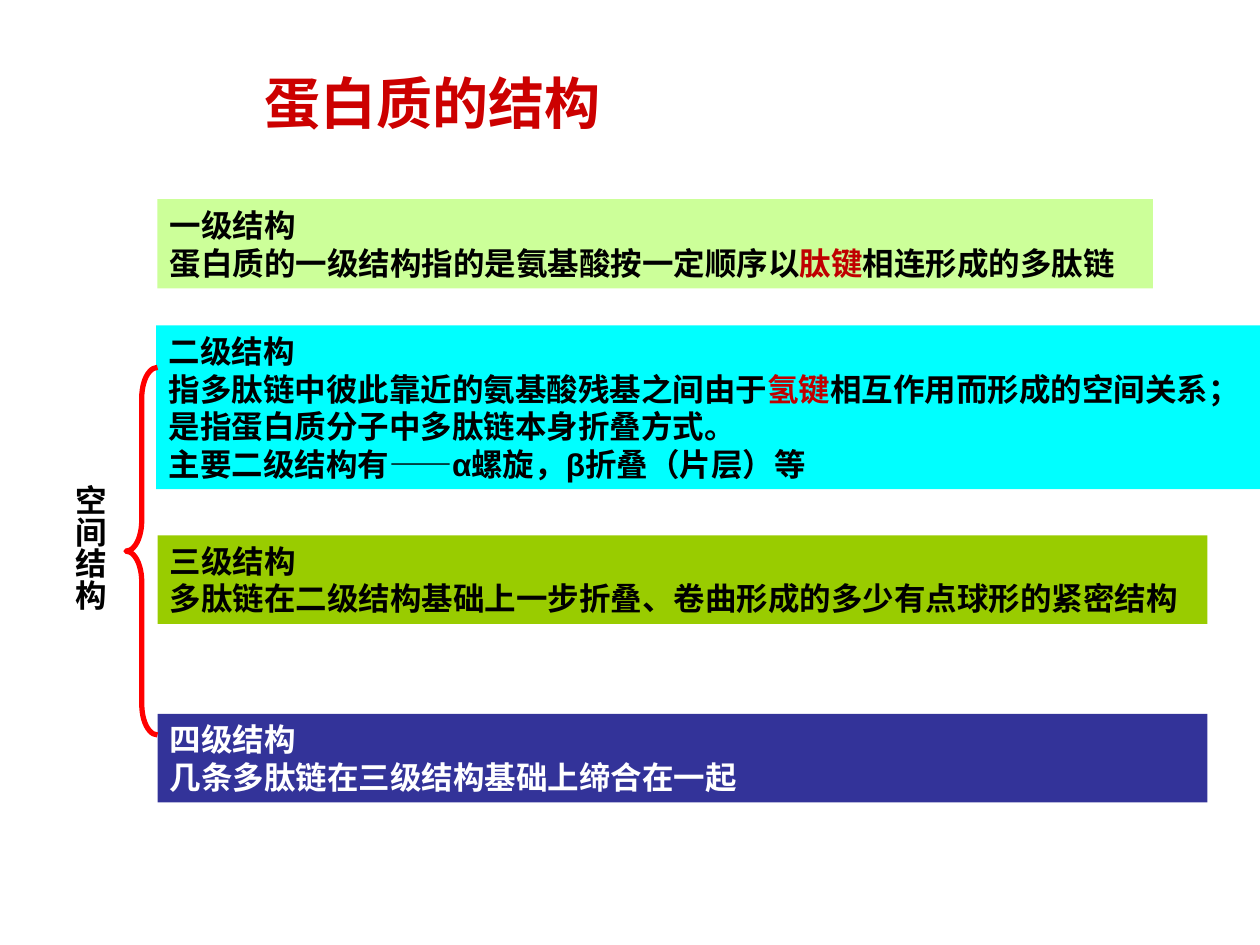
from pptx import Presentation
from pptx.dml.color import RGBColor
from pptx.enum.shapes import MSO_SHAPE
from pptx.enum.text import MSO_ANCHOR, MSO_AUTO_SIZE, PP_ALIGN
from pptx.oxml.ns import qn
from pptx.util import Pt

RECT, BRACE = MSO_SHAPE.RECTANGLE, MSO_SHAPE.LEFT_BRACE
TOP, MIDDLE = MSO_ANCHOR.TOP, MSO_ANCHOR.MIDDLE
LEFT = PP_ALIGN.LEFT
FIXED = MSO_AUTO_SIZE.NONE

BLACK = RGBColor(0, 0, 0)
WHITE = RGBColor(255, 255, 255)
RED = RGBColor(255, 0, 0)
TITLE = RGBColor(204, 0, 0)
BOND = RGBColor(192, 0, 0)
LIME = RGBColor(204, 255, 153)
CYAN = RGBColor(0, 255, 255)
GREEN = RGBColor(153, 204, 0)
NAVY = RGBColor(51, 51, 153)
LATIN, HAN = "Arial", "Noto Sans CJK SC"

# Each level: left, top, width, height, fill, text colour, font, anchor, lines
LEVELS = [
    (90, 113.8, 568.8, 51, LIME, BLACK, LATIN, MIDDLE,
     ["一级结构",
      ["蛋白质的一级结构指的是氨基酸按一定顺序以", "肽键", "相连形成的多肽链"]]),
    (89.3, 186, 630.7, 93.6, CYAN, BLACK, LATIN, MIDDLE,
     ["二级结构",
      ["指多肽链中彼此靠近的氨基酸残基之间由于", "氢键",
       "相互作用而形成的空间关系；"],
      "是指蛋白质分子中多肽链本身折叠方式。",
      "主要二级结构有——α螺旋，β折叠（片层）等"]),
    (90, 306, 600, 50.5, GREEN, BLACK, HAN, TOP,
     ["三级结构",
      "多肽链在二级结构基础上一步折叠、卷曲形成的多少有点球形的紧密结构"]),
    (90, 408, 600, 50.5, NAVY, WHITE, HAN, TOP,
     ["四级结构", "几条多肽链在三级结构基础上缔合在一起"]),
]


def write(shape, lines, size=18, color=BLACK, face=LATIN, anchor=TOP, pitch=None):
    """Fill a shape with bold lines; the second part of a split line is a bond."""
    frame = shape.text_frame
    frame.word_wrap = True
    frame.auto_size = FIXED
    frame.vertical_anchor = anchor
    for i, line in enumerate(lines):
        para = frame.add_paragraph() if i else frame.paragraphs[0]
        para.alignment = LEFT
        if pitch:
            para.line_spacing = Pt(pitch)
        for j, part in enumerate([line] if isinstance(line, str) else line):
            run = para.add_run()
            run.text = part
            font = run.font
            font.size, font.bold, font.name = Pt(size), True, face
            font.color.rgb = BOND if j == 1 else color
            east = font._element.makeelement(qn("a:ea"), {"typeface": HAN})
            font._element.find(qn("a:latin")).addnext(east)


def place(shape, *box):
    """Move and size a shape in points."""
    shape.left, shape.top, shape.width, shape.height = map(Pt, box)


def panel(slide, left, top, width, height, fill, color, face, anchor, lines):
    """Add the filled box of one structure level."""
    box = slide.shapes.add_shape(RECT, *map(Pt, (left, top, width, height)))
    box.shadow.inherit = False
    box.fill.solid()
    box.fill.fore_color.rgb = fill
    box.line.fill.background()
    write(box, lines, color=color, face=face, anchor=anchor, pitch=21.6)


def brace(slide, *box):
    """Add the red brace that groups the spatial levels."""
    mark = slide.shapes.add_shape(BRACE, *map(Pt, box))
    mark.shadow.inherit = False
    mark.fill.background()
    mark.line.color.rgb = RED
    mark.line.width = Pt(3)
    mark.adjustments[0] = 0.97
    mark.adjustments[1] = 0.5


def label(slide, text, *box):
    """Add a label that reads downwards."""
    note = slide.shapes.add_textbox(*map(Pt, box))
    write(note, [text])
    note.text_frame._txBody.bodyPr.set("vert", "eaVert")


def main():
    """Build the slide and save it."""
    deck = Presentation()
    deck.slide_width, deck.slide_height = Pt(720), Pt(540)
    slide = deck.slides.add_slide(deck.slide_layouts[5])
    title = slide.shapes.title
    place(title, 144, 37.5, 504, 42)
    write(title, ["蛋白质的结构"], size=32, color=TITLE, anchor=MIDDLE)
    for level in LEVELS:
        panel(slide, *level)
    brace(slide, 72, 210, 18, 210)
    label(slide, "空间结构", 30, 270, 36, 96)
    deck.save("out.pptx")


if __name__ == "__main__":
    main()
